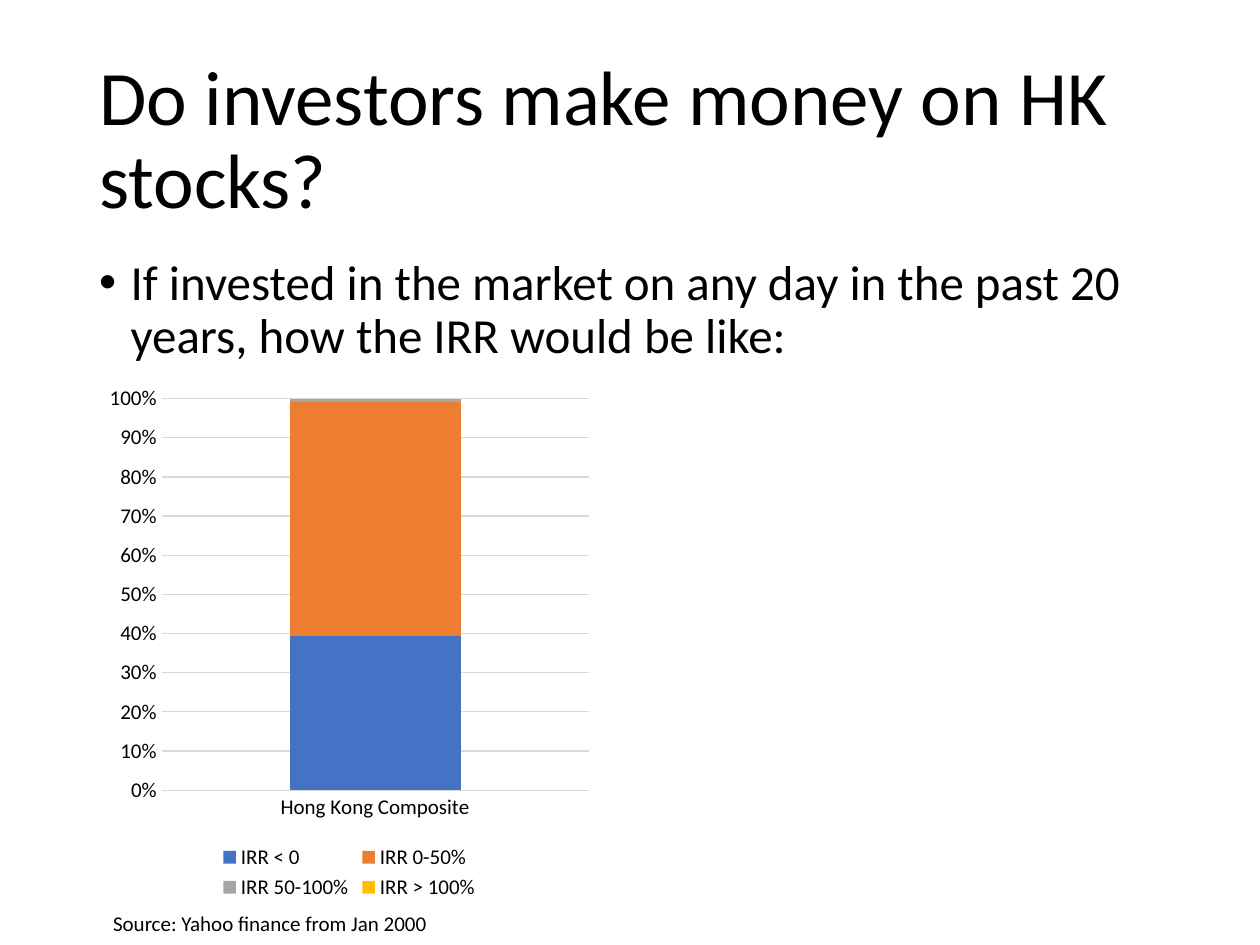
from lxml.etree import SubElement
from pptx import Presentation
from pptx.chart.data import CategoryChartData
from pptx.dml.color import RGBColor
from pptx.enum.chart import XL_CHART_TYPE as ChartType
from pptx.enum.chart import XL_LEGEND_POSITION as LegendPosition
from pptx.enum.chart import XL_TICK_MARK as TickMark
from pptx.enum.text import MSO_ANCHOR as Anchor
from pptx.oxml.ns import qn
from pptx.util import Cm, Pt


def colour(code):
    return RGBColor.from_string(code)


class SlideBuilder:
    """Holds the text style and the current slide, and adds elements to it."""

    typeface = "Calibri"
    ink = "000000"
    rule = "D9D9D9"

    def __init__(self, page):
        self.page = page

    def style(self, font, size):
        font.name = self.typeface
        font.size = Pt(size)
        font.color.rgb = colour(self.ink)

    def text(self, words, place, size, anchor=Anchor.TOP, spacing=1.0, bullet=None):
        frame = self.page.shapes.add_textbox(*map(Cm, place)).text_frame
        frame.word_wrap = True
        frame.vertical_anchor = anchor
        para = frame.paragraphs[0]
        para.text = words
        para.line_spacing = spacing
        if bullet:
            self.bullet(para, bullet)
        self.style(para.font, size)

    def bullet(self, para, symbol, indent=0.635):
        properties = para._p.get_or_add_pPr()
        properties.set("marL", str(Cm(indent)))
        properties.set("indent", str(-Cm(indent)))
        SubElement(properties, qn("a:buFont"), typeface="Arial")
        SubElement(properties, qn("a:buChar"), char=symbol)

    def line(self, line_format):
        line_format.color.rgb = colour(self.rule)
        line_format.width = Pt(0.75)

    def stacked_chart(self, category, shares, place, size):
        data = CategoryChartData()
        data.categories = [category]
        for name, value, _ in shares:
            data.add_series(name, [value])
        frame = self.page.shapes.add_chart(
            ChartType.COLUMN_STACKED_100, *map(Cm, place), data
        )
        chart = frame.chart
        chart.has_title = False
        self.style(chart.font, size)

        plot = chart.plots[0]
        plot.gap_width = 150
        plot.overlap = 100
        plot.vary_by_categories = False
        for series, (_, _, code) in zip(plot.series, shares):
            series.format.fill.solid()
            series.format.fill.fore_color.rgb = colour(code)

        for axis in (chart.category_axis, chart.value_axis):
            axis.major_tick_mark = TickMark.NONE
            axis.minor_tick_mark = TickMark.NONE
            self.style(axis.tick_labels.font, size)
        self.line(chart.category_axis.format.line)
        values = chart.value_axis
        values.maximum_scale = 1
        values.major_unit = 0.1
        values.format.line.fill.background()
        values.tick_labels.number_format = "0%"
        values.tick_labels.number_format_is_linked = False
        self.line(values.major_gridlines.format.line)

        chart.has_legend = True
        chart.legend.position = LegendPosition.BOTTOM
        chart.legend.include_in_layout = False
        self.style(chart.legend.font, size)


def main():
    deck = Presentation()
    deck.slide_width, deck.slide_height = Cm(25.4), Cm(19.05)
    slide = SlideBuilder(deck.slides.add_slide(deck.slide_layouts[6]))

    slide.text(
        "Do investors make money on HK stocks?",
        (1.75, 1.02, 21.9, 3.68), 44, anchor=Anchor.MIDDLE, spacing=0.9,
    )
    slide.text(
        "If invested in the market on any day in the past 20 years, "
        "how the IRR would be like:",
        (1.75, 5.08, 21.9, 12.09), 28, spacing=0.9, bullet="•",
    )
    shares = [
        ("IRR < 0", 39, "4472C4"),
        ("IRR 0-50%", 59, "ED7D31"),
        ("IRR 50-100%", 1, "A5A5A5"),
        ("IRR > 100%", 0, "FFC000"),
    ]
    slide.stacked_chart("Hong Kong Composite", shares, (2.01, 7.57, 10.06, 10.67), 12)
    slide.text("Source: Yahoo finance from Jan 2000", (2.03, 18.24, 12.7, 0.76), 12)

    deck.save("out.pptx")


if __name__ == "__main__":
    main()
